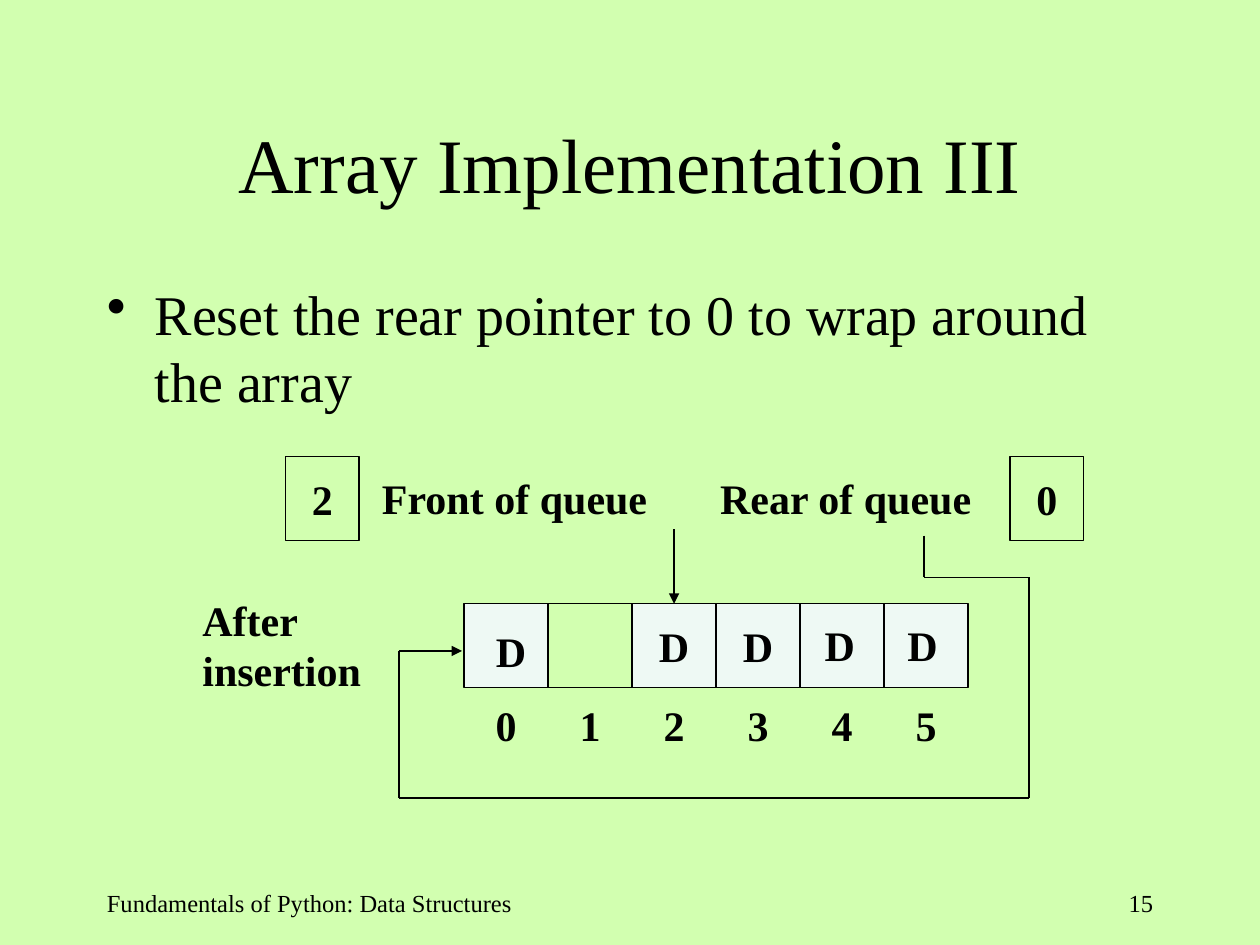
import itertools

import lxml.etree
import pptx
import pptx.dml.color
import pptx.enum.shapes
import pptx.enum.text
import pptx.oxml.ns
import pptx.util

COLORS = {"background": "D2FFB0", "filled": "EEF9F4", "ink": "000000"}
FONT = "Times New Roman"
COLUMNS, ROWS = 120, 90
SLIDE_WIDTH = pptx.util.Inches(10)
SLIDE_HEIGHT = pptx.util.Inches(7.5)
ARRAY_LEFT, ARRAY_TOP, CELL = 44.2, 57.5, 8
LEFT = pptx.enum.text.PP_ALIGN.LEFT
CENTER = pptx.enum.text.PP_ALIGN.CENTER
RIGHT = pptx.enum.text.PP_ALIGN.RIGHT
TOP = pptx.enum.text.MSO_ANCHOR.TOP
MIDDLE = pptx.enum.text.MSO_ANCHOR.MIDDLE


def color(name):
    return pptx.dml.color.RGBColor.from_string(COLORS[name])


def across(columns):
    return round(SLIDE_WIDTH * columns / COLUMNS)


def down(rows):
    return round(SLIDE_HEIGHT * rows / ROWS)


def box(left, top, width, height):
    return across(left), down(top), across(width), down(height)


def write(shape, text, size=24, bold=True, align=LEFT, anchor=TOP, wrap=True):
    frame = shape.text_frame
    frame.text = text
    frame.word_wrap = wrap
    frame.vertical_anchor = anchor
    for paragraph in frame.paragraphs:
        paragraph.alignment = align
        for run in paragraph.runs:
            run.font.name = FONT
            run.font.size = pptx.util.Pt(size)
            run.font.bold = bold
            run.font.color.rgb = color("ink")


def add_title(slide, text):
    title = slide.shapes.title
    title.left, title.top, title.width, title.height = box(9, 8, 102, 15)
    write(title, text, size=44, bold=False, align=CENTER, anchor=MIDDLE)


def add_label(slide, text, position, **style):
    label = slide.shapes.add_textbox(*box(*position))
    write(label, text, **style)
    return label


def add_bullet(slide, text, position):
    label = add_label(slide, text, position, size=32, bold=False)
    paragraph = label.text_frame.paragraphs[0]
    paragraph.space_before = pptx.util.Pt(8)
    properties = paragraph._p.get_or_add_pPr()
    indent = pptx.util.Inches(0.38)
    properties.set("marL", str(indent))
    properties.set("indent", str(-indent))
    bullet = lxml.etree.SubElement(properties, pptx.oxml.ns.qn("a:buChar"))
    bullet.set("char", "•")


def add_cell(slide, position, text="", filled=False):
    cell = slide.shapes.add_shape(
        pptx.enum.shapes.MSO_SHAPE.RECTANGLE, *box(*position))
    cell.shadow.inherit = False
    if filled:
        cell.fill.solid()
        cell.fill.fore_color.rgb = color("filled")
    else:
        cell.fill.background()
    cell.line.color.rgb = color("ink")
    cell.line.width = pptx.util.Pt(0.75)
    if text:
        write(cell, text, align=CENTER, anchor=MIDDLE, wrap=False)


def add_pointer(slide, points):
    for start, end in itertools.pairwise(points):
        line = slide.shapes.add_connector(
            pptx.enum.shapes.MSO_CONNECTOR.STRAIGHT,
            across(start[0]), down(start[1]), across(end[0]), down(end[1]))
        line.line.color.rgb = color("ink")
        line.line.width = pptx.util.Pt(0.75)
        lxml.etree.SubElement(
            line._element.spPr, pptx.oxml.ns.qn("a:effectLst"))
    head = lxml.etree.SubElement(
        line.line._get_or_add_ln(), pptx.oxml.ns.qn("a:tailEnd"))
    head.set("type", "triangle")


def add_array(slide):
    for index, text in enumerate(["", "", "D", "D", "", ""]):
        left = ARRAY_LEFT + index * CELL
        add_cell(slide, (left, ARRAY_TOP, CELL, CELL), text, filled=index != 1)
        add_label(slide, str(index), (left, 66, CELL, 6), align=CENTER)
    for left, top in [(46, 59), (77.3, 58.4), (85.2, 58.4)]:
        add_label(slide, "D", (left, top, 5.3, 6), align=RIGHT, wrap=False)


def main():
    presentation = pptx.Presentation()
    presentation.slide_width = SLIDE_WIDTH
    presentation.slide_height = SLIDE_HEIGHT
    slide = presentation.slides.add_slide(presentation.slide_layouts[5])
    slide.background.fill.solid()
    slide.background.fill.fore_color.rgb = color("background")

    add_title(slide, "Array Implementation III")
    add_bullet(slide, "Reset the rear pointer to 0 to wrap around the array",
               (9, 26, 102, 54))
    add_array(slide)
    add_label(slide, "After\ninsertion", (18.1, 56, 17.5, 10.8), wrap=False)

    add_cell(slide, (27.2, 43.5, 7, 8), "2")
    add_label(slide, "Front of queue", (35.2, 44.4, 29, 6))
    add_label(slide, "Rear of queue", (67.4, 44.4, 28, 6))
    add_cell(slide, (96.2, 43.5, 7, 8), "0")
    add_pointer(slide, [(64.2, 50.4), (64.2, ARRAY_TOP)])
    add_pointer(slide, [(88, 51), (88, 55), (98, 55), (98, 76),
                        (38, 76), (38, 62), (44, 62)])

    add_label(slide, "Fundamentals of Python: Data Structures",
              (9, 84, 47, 6), size=14, bold=False)
    add_label(slide, "15", (86, 84, 25, 6), size=14, bold=False, align=RIGHT)
    presentation.save("out.pptx")


if __name__ == "__main__":
    main()
